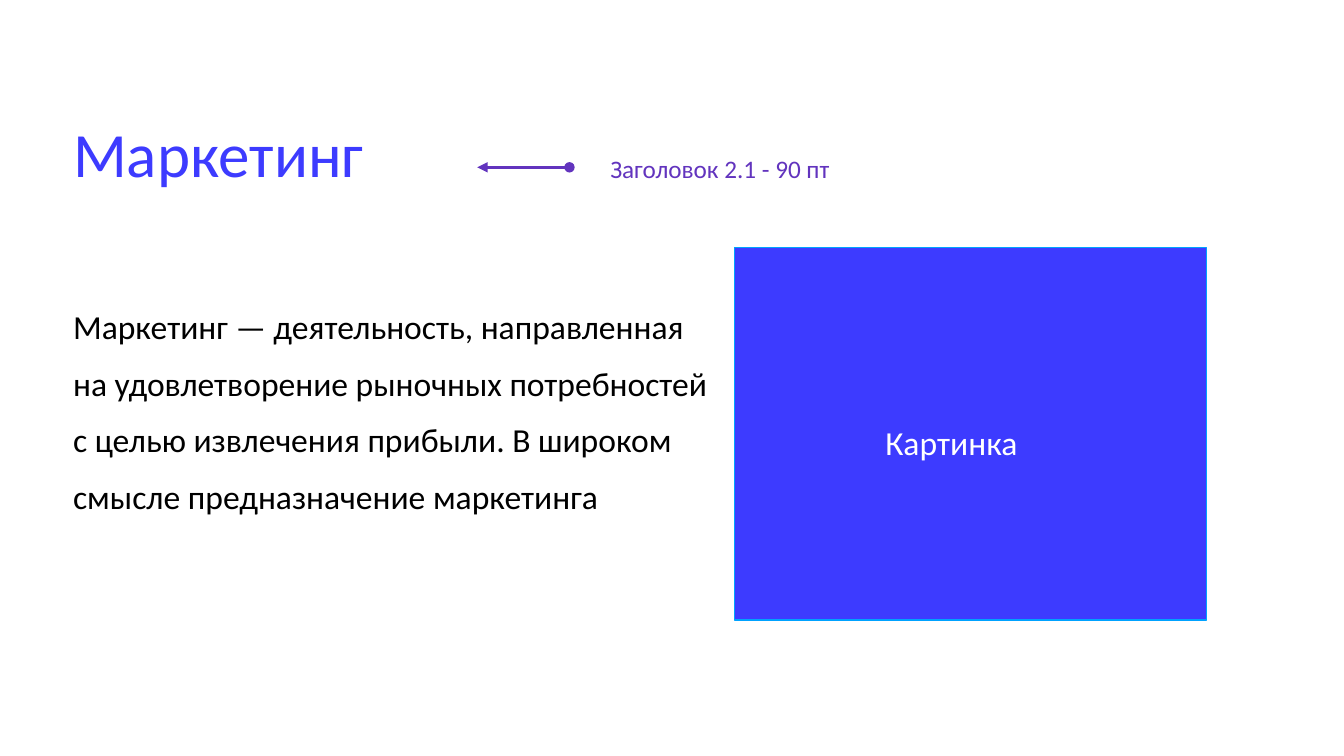
from lxml import etree
from pptx import Presentation
from pptx.dml.color import RGBColor
from pptx.enum.shapes import MSO_CONNECTOR, MSO_SHAPE
from pptx.enum.text import MSO_ANCHOR, MSO_AUTO_SIZE
from pptx.oxml.ns import qn
from pptx.util import Inches, Pt

STRAIGHT = MSO_CONNECTOR.STRAIGHT
RECTANGLE = MSO_SHAPE.RECTANGLE
MIDDLE = MSO_ANCHOR.MIDDLE
GROW = MSO_AUTO_SIZE.SHAPE_TO_FIT_TEXT

COLORS = {"blue": "3D3BFF", "violet": "6234BE", "cyan": "00A2FF",
          "black": "000000", "white": "FFFFFF"}
FONT = "Calibri"
INSET = Inches(0.06)


def rgb(name):
    """Return the named colour."""
    return RGBColor.from_string(COLORS[name])


def add_text(s, box, text, size, color, spacing=1.4):
    """Add a wrapped, vertically centred text box."""
    tf = s.shapes.add_textbox(*map(Inches, box)).text_frame
    frame = {"word_wrap": True, "auto_size": GROW, "vertical_anchor": MIDDLE,
             "margin_left": INSET, "margin_top": INSET,
             "margin_right": INSET, "margin_bottom": INSET}
    for name, value in frame.items():
        setattr(tf, name, value)
    p = tf.paragraphs[0]
    p.line_spacing = spacing
    r = p.add_run()
    r.text = text
    for name, value in {"name": FONT, "size": Pt(size)}.items():
        setattr(r.font, name, value)
    r.font.color.rgb = rgb(color)


def add_arrow(s, x1, x2, y):
    """Add a horizontal arrow from a round end to a triangular tip."""
    line = s.shapes.add_connector(STRAIGHT, *map(Inches, (x1, y, x2, y)))
    line.line.color.rgb = rgb("violet")
    line.line.width = Pt(5)
    ln = line.line._get_or_add_ln()
    for tag, kind in (("a:headEnd", "oval"), ("a:tailEnd", "triangle")):
        etree.SubElement(ln, qn(tag), type=kind)
    etree.SubElement(line._element.spPr, qn("a:effectLst"))


def add_heading(s, left, top, width, height):
    """Add the title with the arrow and the size note beside it."""
    add_text(s, (left, top, width, height), "Маркетинг", 90, "blue", 1.0)
    add_arrow(s, left + 9.91, left + 8.08, top + 1.1)
    add_text(s, (left + 10.66, top + 0.65, 6.59, 0.71),
             "Заголовок 2.1 - 90 пт", 36, "violet")


def add_picture_area(s, left, top, width, height):
    """Add the filled picture area and its label."""
    sp = s.shapes.add_shape(
        RECTANGLE, *map(Inches, (left, top, width, height)))
    sp.shadow.inherit = False
    sp.fill.solid()
    sp.fill.fore_color.rgb = rgb("blue")
    sp.line.color.rgb = rgb("cyan")
    sp.line.width = Pt(2)
    label_height = 0.92
    label_top = top + (height - label_height) / 2
    add_text(s, (left + 2.94, label_top, 4.26, label_height),
             "Картинка", 48, "white")


def build_slide(prs):
    """Add the slide: heading, definition and picture area."""
    s = prs.slides.add_slide(prs.slide_layouts[6])
    add_heading(s, 1.39, 2.22, 18.32, 1.61)
    add_text(s, (1.39, 5.28, 12.89, 5.43),
             "Маркетинг\u00a0— деятельность, направленная на удовлетворение "
             "рыночных потребностей с целью извлечения прибыли. В широком "
             "смысле предназначение маркетинга", 48, "black")
    add_picture_area(s, 14.57, 4.91, 9.37, 7.39)


prs = Presentation()
prs.slide_width, prs.slide_height = Inches(26.67), Inches(15)
build_slide(prs)
prs.save("out.pptx")
